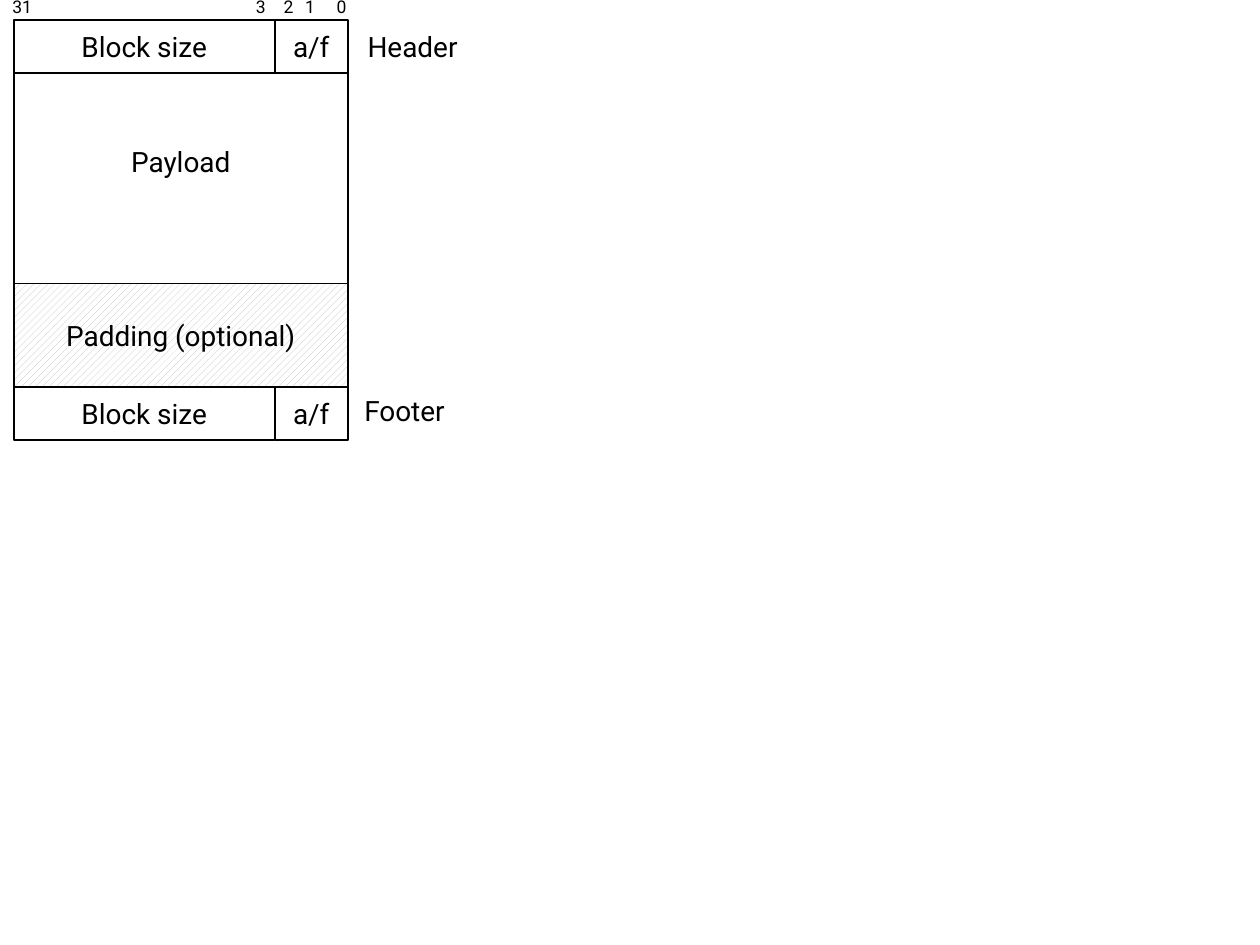
from pptx import Presentation
from pptx.dml.color import RGBColor
from pptx.enum.dml import MSO_PATTERN
from pptx.enum.shapes import MSO_SHAPE
from pptx.enum.text import MSO_ANCHOR, MSO_AUTO_SIZE, PP_ALIGN
from pptx.util import Inches, Pt

RECTANGLE = MSO_SHAPE.RECTANGLE
HATCH = MSO_PATTERN.WIDE_UPWARD_DIAGONAL
MIDDLE = MSO_ANCHOR.MIDDLE
FIT_SHAPE = MSO_AUTO_SIZE.SHAPE_TO_FIT_TEXT
CENTER = PP_ALIGN.CENTER

BLACK, WHITE, GRAY = "000000", "FFFFFF", "C0C0C0"
FONT = "Roboto"
LEFT, TOP = 0.11, 0.16
SIZE_WIDTH, FLAG_WIDTH = 2.07, 0.58
FULL_WIDTH = SIZE_WIDTH + FLAG_WIDTH
TAG_CELLS = [("Block size", SIZE_WIDTH), ("a/f", FLAG_WIDTH)]

BLOCK_ROWS = [
    (0.42, TAG_CELLS),
    (1.67, [("Payload", FULL_WIDTH)]),
    (0.82, [("Padding (optional)", FULL_WIDTH)]),
    (0.42, TAG_CELLS),
]
HATCHED = "Padding (optional)"
BOTTOM_INSETS = {"Payload": 0.32}

BIT_TOP, BIT_HEIGHT = -0.08, 0.27
BIT_NUMBERS = [("31", 0, 0.35), ("3", 1.93, 0.28), ("2", 2.15, 0.28),
               ("1", 2.32, 0.28), ("0", 2.57, 0.28)]
SIDE_LABELS = [("Header", 2.81, 0.18, 0.93), ("Footer", 2.79, 3.07, 0.84)]
SIDE_HEIGHT = 0.37
LABEL_INSET = 0.04


def color(value):
    return RGBColor.from_string(value)


def write(shape, text, size):
    frame = shape.text_frame
    frame.word_wrap = False
    frame.vertical_anchor = MIDDLE
    para = frame.paragraphs[0]
    para.text = text
    para.alignment = CENTER
    para.font.name = FONT
    para.font.size = Pt(size)
    para.font.color.rgb = color(BLACK)
    return frame


def add_cell(page, text, left, top, width, height):
    cell = page.shapes.add_shape(
        RECTANGLE, Inches(left), Inches(top), Inches(width), Inches(height))
    cell.shadow.inherit = False
    cell.line.color.rgb = color(BLACK)
    cell.line.width = Pt(1)
    if text == HATCHED:
        cell.fill.patterned()
        cell.fill.pattern = HATCH
        cell.fill.fore_color.rgb = color(GRAY)
        cell.fill.back_color.rgb = color(WHITE)
    else:
        cell.fill.solid()
        cell.fill.fore_color.rgb = color(WHITE)
    frame = write(cell, text, 16)
    frame.margin_bottom = Inches(BOTTOM_INSETS.get(text, 0.05))


def add_label(page, text, left, top, width, height, size):
    box = page.shapes.add_textbox(
        Inches(left), Inches(top), Inches(width), Inches(height))
    frame = write(box, text, size)
    frame.auto_size = FIT_SHAPE
    frame.margin_left = frame.margin_right = Inches(LABEL_INSET)


def main():
    deck = Presentation()
    deck.slide_width, deck.slide_height = Inches(10), Inches(7.5)
    page = deck.slides.add_slide(deck.slide_layouts[6])

    top = TOP
    for height, cells in BLOCK_ROWS:
        left = LEFT
        for text, width in cells:
            add_cell(page, text, left, top, width, height)
            left += width
        top += height

    for text, left, width in BIT_NUMBERS:
        add_label(page, text, left, BIT_TOP, width, BIT_HEIGHT, 10)
    for text, left, top, width in SIDE_LABELS:
        add_label(page, text, left, top, width, SIDE_HEIGHT, 16)

    deck.save("out.pptx")


if __name__ == "__main__":
    main()
